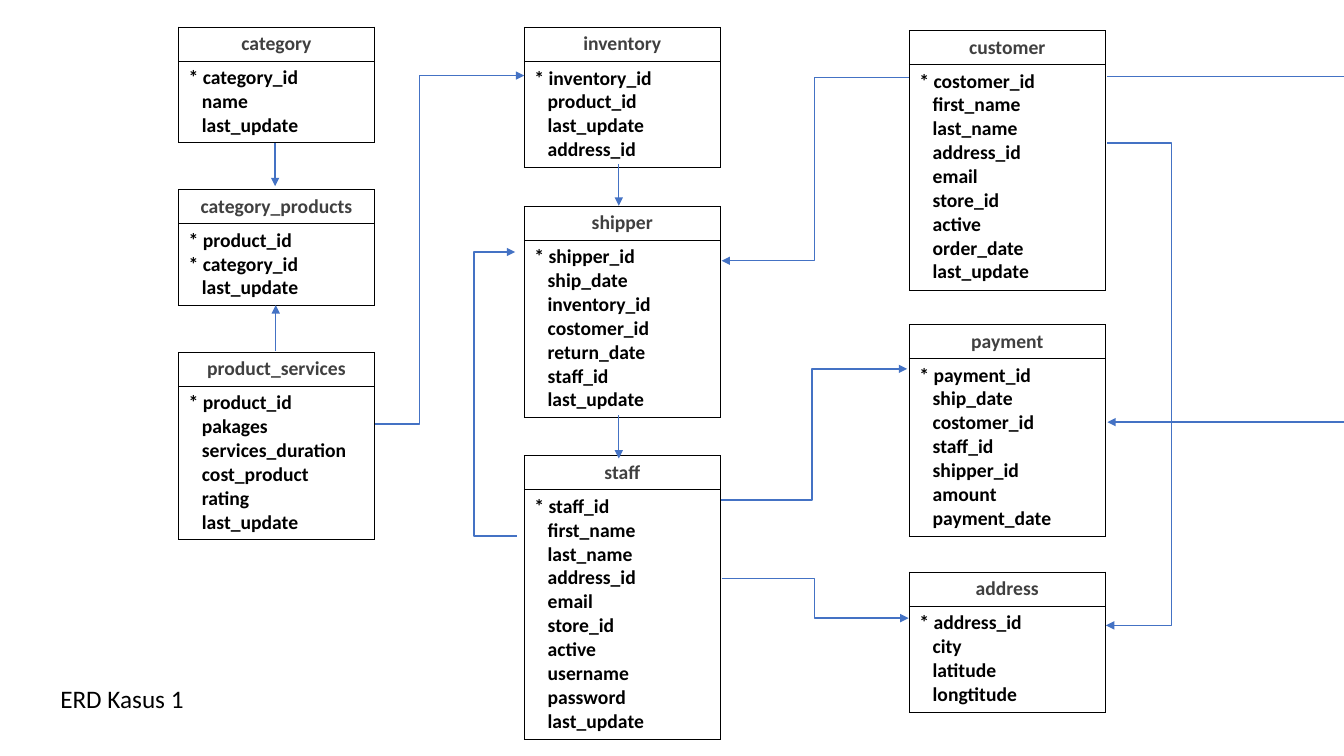
from lxml import etree
from pptx import Presentation
from pptx import util as u
from pptx.dml.color import RGBColor
from pptx.enum import shapes, text
from pptx.oxml import ns

COLORS = {"ink": "000000", "heading": "404040", "link": "4472C4"}
FONT = "Calibri"
HEADER_HEIGHT, LINE_HEIGHT, CELL_PADDING = 24.3, 17.1, 7.2
FIELD_INDENT = 9.5
WIDTH = 140
LEFT, MIDDLE, RIGHT = 127.5, 374.5, 649.5
SLIDE_WIDTH, SLIDE_HEIGHT = 960, 540

ENTITIES = [
    (LEFT, 19.2, "category", ["* category_id", "name", "last_update"]),
    (LEFT, 135.4, "category_products", ["* product_id", "* category_id", "last_update"]),
    (LEFT, 251.5, "product_services",
     ["* product_id", "pakages", "services_duration", "cost_product", "rating", "last_update"]),
    (MIDDLE, 19.5, "inventory", ["* inventory_id", "product_id", "last_update", "address_id"]),
    (MIDDLE, 147.2, "shipper",
     ["* shipper_id", "ship_date", "inventory_id", "costomer_id", "return_date", "staff_id",
      "last_update"]),
    (RIGHT, 231.7, "payment",
     ["* payment_id", "ship_date", "costomer_id", "staff_id", "shipper_id", "amount",
      "payment_date"]),
    (MIDDLE, 325.5, "staff",
     ["* staff_id", "first_name", "last_name", "address_id", "email", "store_id", "active",
      "username", "password", "last_update"]),
    (RIGHT, 21.7, "customer",
     ["* costomer_id", "first_name", "last_name", "address_id", "email", "store_id", "active",
      "order_date", "last_update"]),
    (RIGHT, 408.6, "address", ["* address_id", "city", "latitude", "longtitude"]),
]

LINKS = [
    ((196.5, 102), (196.5, 133), None, True),
    ((197, 250.5), (197, 218), None, True),
    ((268, 303), (374.5, 54), 299.5, True),
    ((369, 383), (368, 180), 338.5, True),
    ((442, 117.5), (442, 147), None, True),
    ((442, 296.5), (442, 327.5), None, True),
    ((515, 357.3), (648, 263.5), 580, True),
    ((649, 55.5), (515.5, 186.3), 582, True),
    ((515.5, 413.3), (649, 441.5), 582, True),
    ((791, 54.5), (SLIDE_WIDTH, 54.5), None, False),
    ((SLIDE_WIDTH, 301.5), (791, 301.5), None, True),
    ((791, 102.3), (790, 446.7), 837, True),
]


def add_run(paragraph, wording, size, color, bold):
    """Add one formatted run to a paragraph."""
    run = paragraph.add_run()
    run.text = wording
    run.font.name = FONT
    run.font.size = u.Pt(size)
    run.font.bold = bold
    run.font.color.rgb = RGBColor.from_string(COLORS[color])


def outline_cell(cell):
    """Clear the fill of a cell and rule all four of its sides."""
    cell.fill.background()
    properties = cell._tc.get_or_add_tcPr()
    for position, side in enumerate(("lnL", "lnR", "lnT", "lnB")):
        border = etree.Element(ns.qn(f"a:{side}"), w=str(u.Pt(0.5)))
        fill = etree.SubElement(border, ns.qn("a:solidFill"))
        etree.SubElement(fill, ns.qn("a:srgbClr"), val=COLORS["ink"])
        properties.insert(position, border)


def add_entity(slide, left, top, name, fields):
    """Place an entity table with its name above its fields."""
    body_height = CELL_PADDING + LINE_HEIGHT * len(fields)
    table = slide.shapes.add_table(
        2, 1, u.Pt(left), u.Pt(top), u.Pt(WIDTH), u.Pt(HEADER_HEIGHT + body_height)).table
    table.first_row = table.horz_banding = False
    for row, height in zip(table.rows, (HEADER_HEIGHT, body_height)):
        row.height = u.Pt(height)
        outline_cell(row.cells[0])

    heading = table.cell(0, 0).text_frame.paragraphs[0]
    heading.alignment = text.PP_ALIGN.CENTER
    add_run(heading, name, 14, "heading", True)

    body = table.cell(1, 0).text_frame
    for index, field in enumerate(fields):
        line = body.add_paragraph() if index else body.paragraphs[0]
        if not field.startswith("*"):
            line._p.get_or_add_pPr().set("marL", str(u.Pt(FIELD_INDENT)))
        add_run(line, field, 14, "ink", True)


def add_link(slide, start, end, bend, arrow):
    """Join two points, turning at the bend abscissa when there is one."""
    kind = shapes.MSO_CONNECTOR.STRAIGHT if bend is None else shapes.MSO_CONNECTOR.ELBOW
    link = slide.shapes.add_connector(kind, *(u.Pt(length) for length in (*start, *end)))
    link.line.width = u.Pt(1)
    link.line.color.rgb = RGBColor.from_string(COLORS["link"])
    properties = link._element.spPr
    if bend is not None:
        ratio = (bend - start[0]) / (end[0] - start[0])
        guides = properties.find(ns.qn("a:prstGeom")).get_or_add_avLst()
        etree.SubElement(guides, ns.qn("a:gd"), name="adj1", fmla=f"val {round(ratio * 100000)}")
    if arrow:
        etree.SubElement(properties.find(ns.qn("a:ln")), ns.qn("a:tailEnd"), type="triangle")
    etree.SubElement(properties, ns.qn("a:effectLst"))


def add_caption(slide, left, top, width, height):
    """Place the diagram caption in its box."""
    caption = slide.shapes.add_textbox(*(u.Pt(n) for n in (left, top, width, height))).text_frame
    caption.word_wrap = True
    add_run(caption.paragraphs[0], "ERD Kasus 1", 18, "ink", False)


def main():
    """Build and save the entity relationship slide."""
    deck = Presentation()
    deck.slide_width, deck.slide_height = u.Pt(SLIDE_WIDTH), u.Pt(SLIDE_HEIGHT)
    slide = deck.slides.add_slide(deck.slide_layouts[6])
    for entity in ENTITIES:
        add_entity(slide, *entity)
    for link in LINKS:
        add_link(slide, *link)
    add_caption(slide, 36, 484.5, 172, 29)
    deck.save("out.pptx")


if __name__ == "__main__":
    main()
